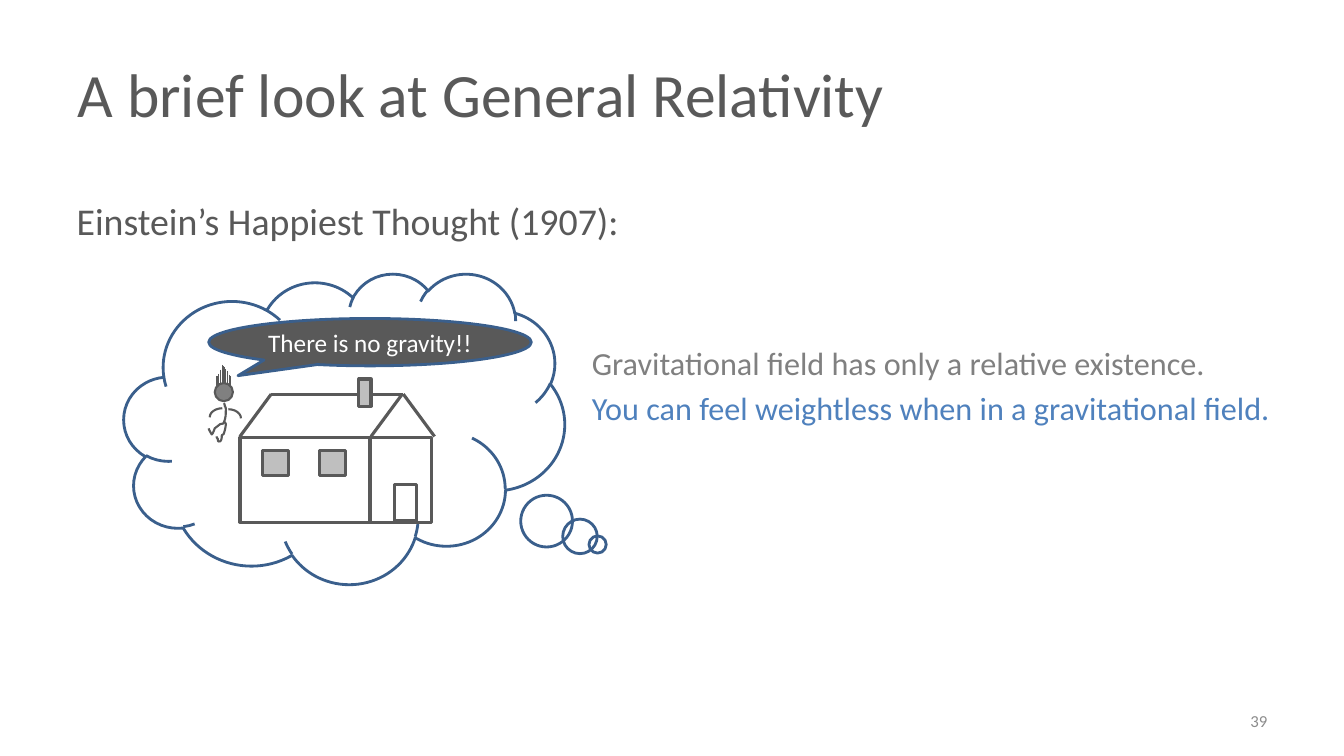
from lxml import etree
from pptx import Presentation
from pptx import util as u
from pptx.dml.color import RGBColor
from pptx.enum import shapes, text
from pptx.oxml.ns import qn

PX = 9144
INK = RGBColor(0x59, 0x59, 0x59)
OUTLINE = RGBColor(0x3A, 0x5F, 0x8C)
PANE = RGBColor(0xBF, 0xBF, 0xBF)
GRAY = RGBColor(0x80, 0x80, 0x80)
NUMBER_GRAY = RGBColor(0x8C, 0x8C, 0x8C)
BLUE = RGBColor(0x4F, 0x81, 0xBD)
WHITE = RGBColor(0xFF, 0xFF, 0xFF)
KIND = shapes.MSO_SHAPE
LEFT, CENTER, RIGHT = text.PP_ALIGN.LEFT, text.PP_ALIGN.CENTER, text.PP_ALIGN.RIGHT
TOP, MIDDLE = text.MSO_ANCHOR.TOP, text.MSO_ANCHOR.MIDDLE


class Sketch:
    font = "Calibri"

    def __init__(self, slide):
        self.slide = slide
        self.canvas = slide.shapes

    def start_group(self):
        self.canvas = self.slide.shapes.add_group_shape().shapes

    def end_group(self):
        self.canvas = self.slide.shapes

    def set_text(self, holder, lines, size, align=LEFT, anchor=TOP, inset=(10, 5), gap=0):
        frame = holder.text_frame
        frame.word_wrap = True
        frame.auto_size = text.MSO_AUTO_SIZE.NONE
        frame.vertical_anchor = anchor
        frame.margin_left = frame.margin_right = inset[0] * PX
        frame.margin_top = frame.margin_bottom = inset[1] * PX
        for i, (words, color) in enumerate(lines):
            paragraph = frame.add_paragraph() if i else frame.paragraphs[0]
            paragraph.alignment = align
            paragraph.space_before = u.Pt(gap if i else 0)
            run = paragraph.add_run()
            run.text = words
            run.font.name = self.font
            run.font.size = u.Pt(size)
            run.font.color.rgb = color
        return frame

    def place(self, holder, box):
        holder.left, holder.top, holder.width, holder.height = (n * PX for n in box)

    def title(self, box, words, size):
        holder = self.slide.shapes.title
        self.place(holder, box)
        self.set_text(holder, [(words, INK)], size, anchor=MIDDLE)

    def body(self, box, lines, size, gap):
        holder = self.slide.placeholders[1]
        self.place(holder, box)
        frame = self.set_text(holder, lines, size, gap=gap)
        for paragraph in frame.paragraphs:
            props = paragraph._p.get_or_add_pPr()
            props.set("marL", "0")
            props.set("indent", "0")
            etree.SubElement(props, qn("a:buNone"))

    def label(self, box, words, size, color, **layout):
        holder = self.canvas.add_textbox(*(n * PX for n in box))
        self.set_text(holder, [(words, color)], size, **layout)

    def outline(self, shape, color, weight, fill=None):
        shape.shadow.inherit = False
        shape.line.color.rgb = color
        shape.line.width = u.Pt(weight)
        if fill is None:
            shape.fill.background()
        else:
            shape.fill.solid()
            shape.fill.fore_color.rgb = fill

    def shape(self, kind, box, weight, color=INK, fill=None, adjust=(), mirror=False):
        shape = self.canvas.add_shape(kind, *(n * PX for n in box))
        self.outline(shape, color, weight, fill)
        for i, value in enumerate(adjust):
            shape.adjustments[i] = value
        if mirror:
            shape._element.spPr.find(qn("a:xfrm")).set("flipH", "1")
        return shape

    def line(self, start, end, weight):
        ends = [n * PX for n in (*start, *end)]
        line = self.canvas.add_connector(shapes.MSO_CONNECTOR.STRAIGHT, *ends)
        line.line.color.rgb = INK
        line.line.width = u.Pt(weight)
        etree.SubElement(line._element.spPr, qn("a:effectLst"))

    def curve(self, points, weight, steps=6):
        vertices = []
        for i in range(0, len(points) - 1, 3):
            knots = points[i:i + 4]
            for step in range(1, steps + 1):
                t = step / steps
                weights = ((1 - t) ** 3, 3 * t * (1 - t) ** 2, 3 * t * t * (1 - t), t ** 3)
                vertices.append(tuple(
                    PX * sum(w * knot[axis] for w, knot in zip(weights, knots))
                    for axis in (0, 1)))
        builder = self.canvas.build_freeform(points[0][0] * PX, points[0][1] * PX)
        builder.add_line_segments(vertices, close=False)
        self.outline(builder.convert_to_shape(), INK, weight)


def draw_house(sketch):
    sketch.start_group()
    sketch.shape(KIND.RECTANGLE, (238, 434, 129, 84), 2.25)
    for start, end in [((238, 433), (269, 391)), ((269, 391), (400, 391)),
                       ((368, 433), (399, 391)), ((431, 433), (400, 391))]:
        sketch.line(start, end, 2.25)
    sketch.shape(KIND.RECTANGLE, (367, 434, 61, 84), 2.25)
    sketch.shape(KIND.RECTANGLE, (356, 376, 12, 27), 2.25, fill=PANE)
    for window_left in (260, 317):
        sketch.shape(KIND.RECTANGLE, (window_left, 447, 26, 25), 2.25, fill=PANE)
    sketch.shape(KIND.RECTANGLE, (391, 481, 22, 36), 2.25)
    sketch.end_group()


def draw_falling_man(sketch):
    sketch.start_group()
    back_leg = [(222, 400), (223, 401), (223, 402), (223, 403), (224, 404), (224, 405),
                (224, 406), (224, 411), (224, 415), (222, 419), (222, 421), (220, 420),
                (218, 421), (217, 422), (213, 425), (213, 425), (213, 425), (211, 431),
                (210, 431), (210, 431), (207, 426), (207, 425)]
    front_leg = [(222, 418), (223, 419), (224, 420), (224, 421), (224, 422), (223, 428),
                 (222, 430), (222, 431), (221, 431), (220, 432), (220, 433), (220, 439),
                 (217, 438), (216, 438), (216, 436), (216, 435), (215, 435), (215, 434),
                 (215, 433)]
    for leg in (back_leg, front_leg):
        sketch.curve(leg, 1.5)
    sketch.shape(KIND.ARC, (214, 406, 25, 18), 1.5)
    sketch.shape(KIND.ARC, (208, 405, 25, 18), 1.5, mirror=True)
    hair_tips = [(222, 363), (224, 366), (223, 364), (226, 368), (228, 372), (221, 367),
                 (219, 367), (219, 369), (217, 371), (216, 373), (221, 362), (229, 373),
                 (215, 373)]
    for x, y in hair_tips:
        sketch.line((x, y), (x, y + 22), 0.75)
    sketch.shape(KIND.OVAL, (213, 380, 18, 18), 1.5, fill=GRAY)
    sketch.end_group()


def main():
    deck = Presentation()
    deck.slide_width, deck.slide_height = 1333 * PX, 750 * PX
    sketch = Sketch(deck.slides.add_slide(deck.slide_layouts[1]))
    sketch.title((67, 30, 1200, 125), "A brief look at General Relativity", 44)
    sketch.label((956, 695, 311, 40), "39", 12, NUMBER_GRAY, align=RIGHT, anchor=MIDDLE)
    sketch.label((76, 196, 583, 45), "Einstein’s Happiest Thought (1907):", 27, INK,
                 inset=(0, 0))
    sketch.shape(KIND.CLOUD_CALLOUT, (123, 271, 437, 308), 2, OUTLINE,
                 adjust=(0.575, 0.374))
    draw_house(sketch)
    draw_falling_man(sketch)
    speech = sketch.shape(KIND.OVAL_CALLOUT, (207, 316, 320, 47), 2, OUTLINE, INK,
                          adjust=(-0.409, 0.707))
    sketch.set_text(speech, [("There is no gravity!!", WHITE)], 18, CENTER, MIDDLE, (0, 0))
    sketch.body((577, 336, 743, 145),
                [("Gravitational field has only a relative existence.", GRAY),
                 ("You can feel weightless when in a gravitational field.", BLUE)],
                23, gap=4.6)
    deck.save("out.pptx")


if __name__ == "__main__":
    main()
